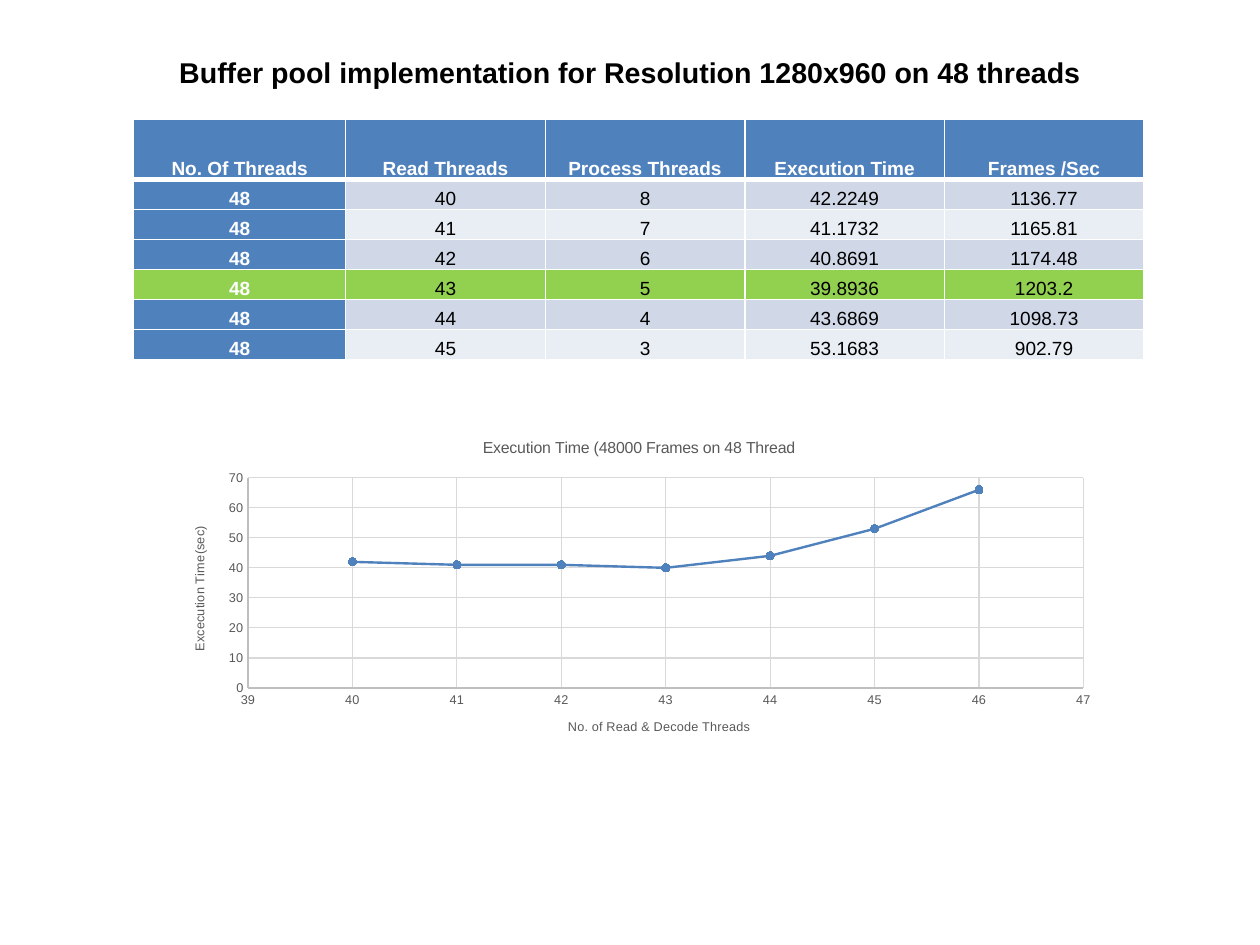
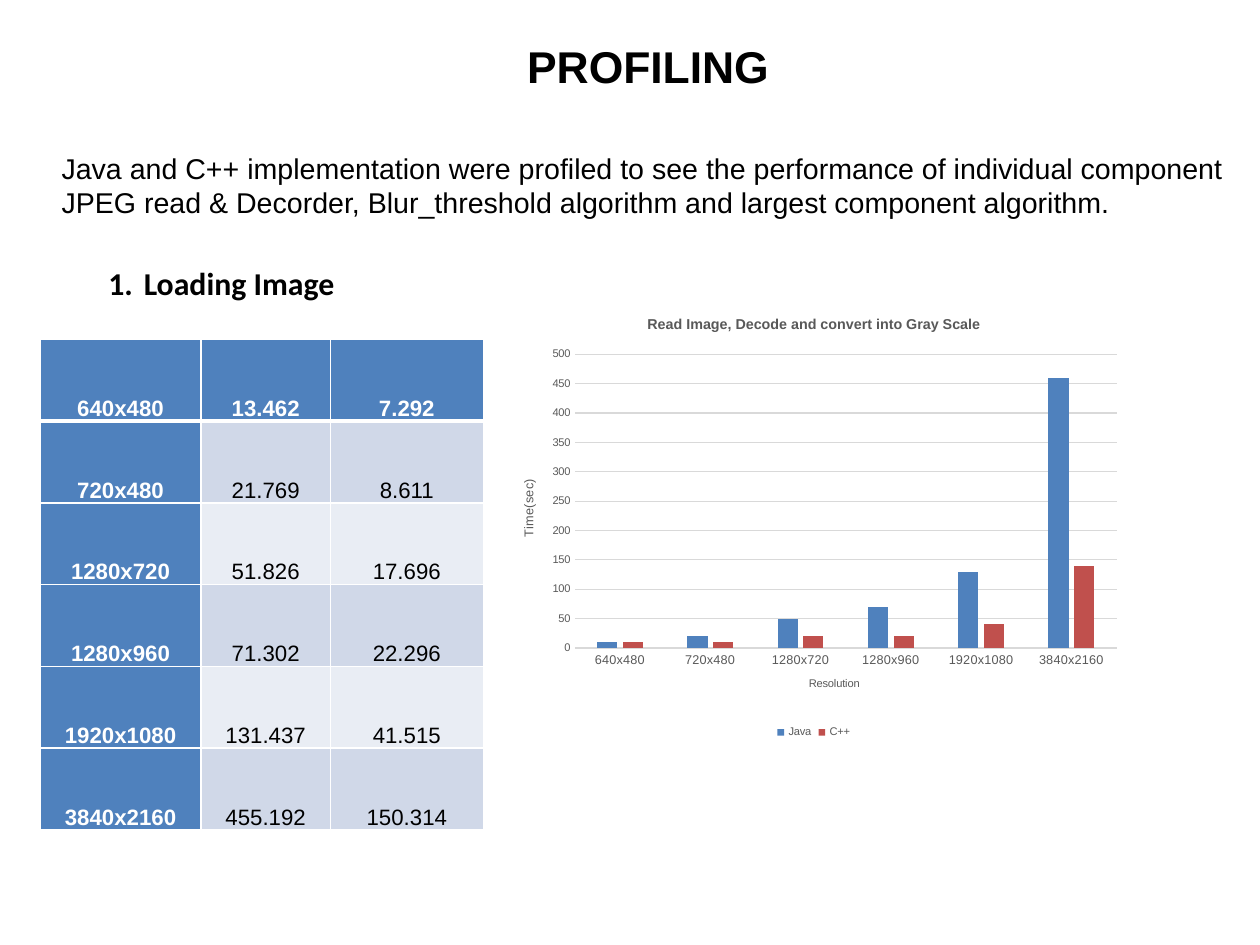
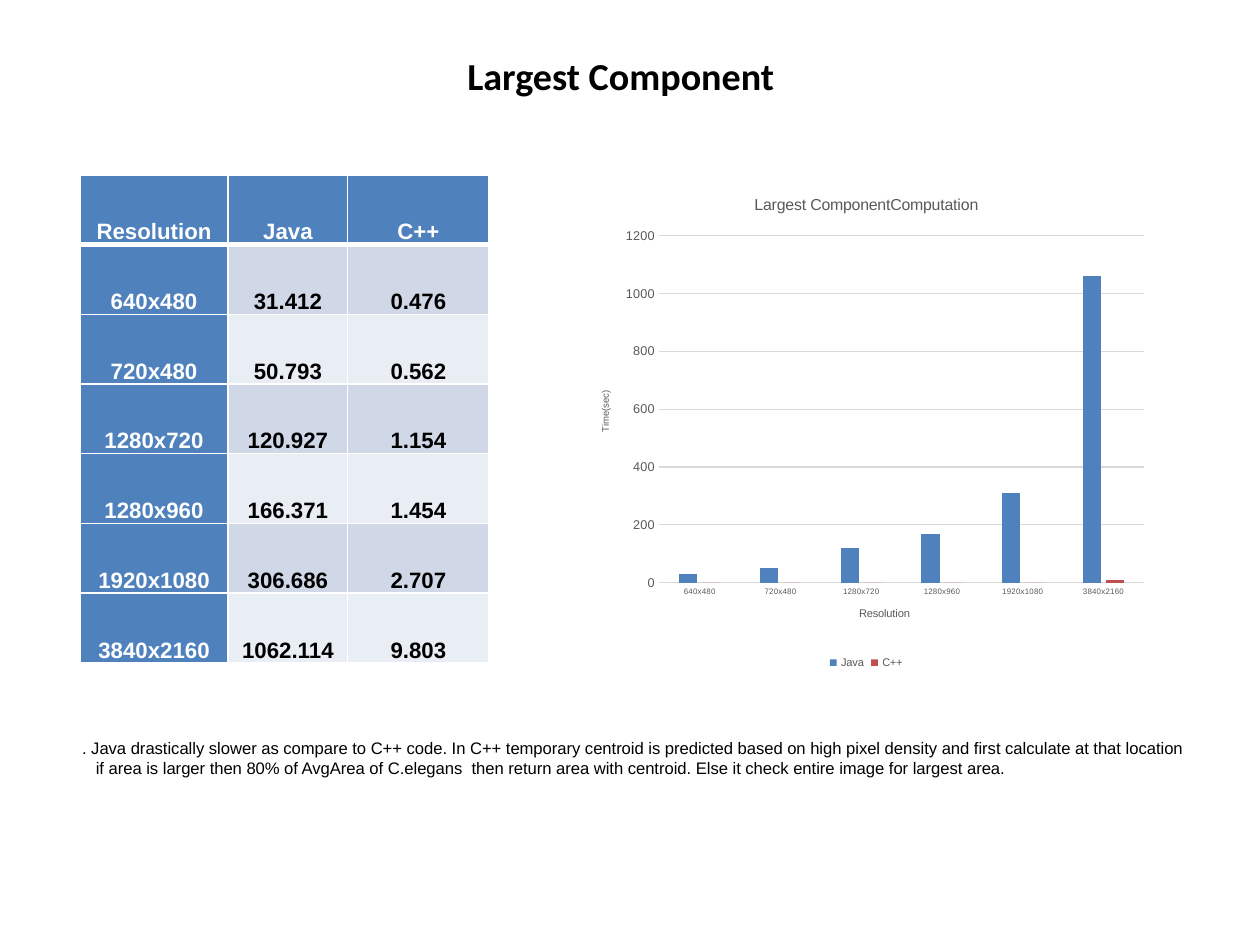
from lxml.etree import SubElement
from pptx import Presentation
from pptx.chart.data import CategoryChartData, XyChartData
from pptx.dml.color import RGBColor
from pptx.enum.chart import (XL_CHART_TYPE, XL_LEGEND_POSITION,
                             XL_MARKER_STYLE, XL_TICK_MARK)
from pptx.enum.text import MSO_ANCHOR, MSO_AUTO_SIZE, PP_ALIGN
from pptx.oxml.ns import qn
from pptx.util import Emu, Inches, Pt

# Shared style
SLIDE_WIDTH, SLIDE_HEIGHT = Emu(10080625), Emu(7559675)  # 28 by 21 cm screen
BLACK, WHITE, GRAY = "000000", "FFFFFF", "595959"
BLUE, RED, GREEN = "4F81BD", "C0504D", "92D050"
BANDS = ("D0D8E8", "E9EDF4")
GRID_LINE, AXIS_LINE = "D9D9D9", "BFBFBF"
BODY_FONT, HEADING_FONT = "Arial", "Calibri"
RESOLUTIONS = ["640x480", "720x480", "1280x720",
               "1280x960", "1920x1080", "3840x2160"]


def color(value):
    return RGBColor.from_string(value)


def style_font(font, size, tint=BLACK, bold=False, name=BODY_FONT):
    font.name = name
    font.size = Pt(size)
    font.bold = bold
    font.color.rgb = color(tint)


# Text
def add_text(slide, box, lines, size, bold=False, name=BODY_FONT,
             align=PP_ALIGN.LEFT, wrap=False, margins=(0,), hanging=0,
             numbered=False):
    """Write one paragraph per line; margins holds their left indents in turn."""
    frame = slide.shapes.add_textbox(*map(Inches, box)).text_frame
    frame.word_wrap = wrap
    frame.auto_size = MSO_AUTO_SIZE.SHAPE_TO_FIT_TEXT
    for index, line in enumerate(lines):
        paragraph = frame.paragraphs[0] if index == 0 else frame.add_paragraph()
        paragraph.text = line
        paragraph.alignment = align
        properties = paragraph._p.get_or_add_pPr()
        properties.set("marL", str(Inches(margins[index % len(margins)])))
        properties.set("indent", str(Inches(hanging)))
        if numbered:
            SubElement(properties, qn("a:buAutoNum"), type="arabicPeriod")
        style_font(paragraph.font, size, bold=bold, name=name)


# Tables
def set_borders(cell, top, bottom):
    properties = cell._tc.get_or_add_tcPr()
    for side, width in (("L", 1), ("R", 1), ("T", top), ("B", bottom)):
        line = SubElement(properties, qn(f"a:ln{side}"), w=str(Pt(width)))
        fill = SubElement(line, qn("a:solidFill"))
        SubElement(fill, qn("a:srgbClr"), val=WHITE)


def add_table(slide, box, widths, rows, size, header_height=None,
              bold_body=False, highlight=None):
    """Share the box width among the columns in proportion to widths."""
    left, top, width, height = box
    table = slide.shapes.add_table(len(rows), len(widths),
                                   *map(Inches, box)).table
    for column, share in zip(table.columns, widths):
        column.width = Inches(width * share / sum(widths))
    header_height = header_height or height / len(rows)
    row_height = (height - header_height) / (len(rows) - 1)

    for row_index, values in enumerate(rows):
        is_header = row_index == 0
        table.rows[row_index].height = Inches(
            header_height if is_header else row_height)
        for column_index, value in enumerate(values):
            is_heading = is_header or column_index == 0
            if row_index == highlight:
                background = GREEN
            else:
                background = BLUE if is_heading else BANDS[(row_index - 1) % 2]
            cell = table.cell(row_index, column_index)
            set_borders(cell, 3 if row_index == 1 else 1, 3 if is_header else 1)
            cell.fill.solid()
            cell.fill.fore_color.rgb = color(background)
            cell.vertical_anchor = MSO_ANCHOR.BOTTOM
            cell.margin_left = cell.margin_right = Inches(0.07)
            cell.margin_top = cell.margin_bottom = 0
            paragraph = cell.text_frame.paragraphs[0]
            paragraph.text = value
            paragraph.alignment = PP_ALIGN.CENTER
            paragraph.line_spacing = 1.07
            style_font(paragraph.font, size, WHITE if is_heading else BLACK,
                       is_heading or bold_body)


# Charts
def place(element, position, chart_box, order):
    """Fix a chart part at a slide position: left, top and maybe width, height."""
    layout = element.find(qn("c:layout"))
    if layout is None:
        layout = element.makeelement(qn("c:layout"), {})
        element.insert(order, layout)
    manual = SubElement(layout, qn("c:manualLayout"))
    left, top, width, height = chart_box
    fractions = {"x": (position[0] - left) / width,
                 "y": (position[1] - top) / height}
    if len(position) == 4:
        SubElement(manual, qn("c:layoutTarget"), val="inner")
        fractions.update(w=position[2] / width, h=position[3] / height)
    for key in ("x", "y"):
        SubElement(manual, qn(f"c:{key}Mode"), val="edge")
    for key, fraction in fractions.items():
        SubElement(manual, qn(f"c:{key}"), val=f"{fraction:.4f}")


def write_title(title, text, size, bold=False):
    title.text_frame.text = text
    style_font(title.text_frame.paragraphs[0].font, size, GRAY, bold)


def style_axis(axis, title, title_size, title_at, chart_box, label_size,
               line=None, grid=False, scale=None, vertical=False):
    write_title(axis.axis_title, title, title_size)
    place(axis.axis_title._element, title_at, chart_box, 1)
    if vertical:
        body = axis.axis_title.text_frame._txBody.find(qn("a:bodyPr"))
        body.set("rot", "-5400000")
        body.set("vert", "horz")
    style_font(axis.tick_labels.font, label_size, GRAY)
    axis.major_tick_mark = axis.minor_tick_mark = XL_TICK_MARK.NONE
    if line:
        axis.format.line.color.rgb = color(line)
        axis.format.line.width = Pt(0.75)
    else:
        axis.format.line.fill.background()
    axis.has_major_gridlines = grid
    if grid:
        axis.major_gridlines.format.line.color.rgb = color(GRID_LINE)
        axis.major_gridlines.format.line.width = Pt(0.75)
    if scale:
        axis.minimum_scale, axis.maximum_scale, axis.major_unit = scale
        axis.tick_labels.number_format = "0"
        axis.tick_labels.number_format_is_linked = False


def add_chart(slide, kind, data, box, plot_box, title, title_size, bold=False):
    chart = slide.shapes.add_chart(kind, *map(Inches, box), data).chart
    style_font(chart.font, 10)
    chart.has_title = True
    write_title(chart.chart_title, title, title_size, bold)
    chart.has_legend = False
    chart.plots[0].vary_by_categories = False
    place(chart._chartSpace.chart.plotArea, plot_box, box, 0)
    return chart


def add_scatter_chart(slide, box, plot_box, title, points, x_axis, y_axis):
    data = XyChartData()
    series_data = data.add_series("Series 1")
    for x, y in points:
        series_data.add_data_point(x, y)
    chart = add_chart(slide, XL_CHART_TYPE.XY_SCATTER_LINES, data, box,
                      plot_box, title, 10)
    for axis, settings in ((chart.category_axis, x_axis),
                           (chart.value_axis, y_axis)):
        style_axis(axis, chart_box=box, title_size=8, label_size=8,
                   line=AXIS_LINE, grid=True, **settings)
    series = chart.plots[0].series[0]
    series.format.line.color.rgb = color(BLUE)
    series.format.line.width = Pt(1.5)
    series.marker.style = XL_MARKER_STYLE.CIRCLE
    series.marker.size = 5
    series.marker.format.fill.solid()
    series.marker.format.fill.fore_color.rgb = color(BLUE)
    series.marker.format.line.color.rgb = color(BLUE)


def add_column_chart(slide, box, plot_box, title, title_size, bold, java, cpp,
                     x_axis, y_axis):
    data = CategoryChartData()
    data.categories = RESOLUTIONS
    data.add_series("Java", java)
    data.add_series("C++", cpp)
    chart = add_chart(slide, XL_CHART_TYPE.COLUMN_CLUSTERED, data, box,
                      plot_box, title, title_size, bold)
    style_axis(chart.category_axis, "Resolution", 7, chart_box=box,
               line=GRID_LINE, **x_axis)
    style_axis(chart.value_axis, "Time(sec)", chart_box=box, grid=True,
               vertical=True, **y_axis)
    chart.has_legend = True
    chart.legend.position = XL_LEGEND_POSITION.BOTTOM
    chart.legend.include_in_layout = False
    style_font(chart.legend.font, 7, GRAY)
    plot = chart.plots[0]
    plot.gap_width = 219
    plot.overlap = -27
    for series, tint in zip(plot.series, (BLUE, RED)):
        series.format.fill.solid()
        series.format.fill.fore_color.rgb = color(tint)


# Slides
def build_buffer_pool(slide):
    add_text(slide, (1.47, 0.43, 8.24, 0.4),
             ["Buffer pool implementation for Resolution 1280x960 on 48 threads"],
             18, bold=True)
    results = [("42.2249", "1136.77"), ("41.1732", "1165.81"),
               ("40.8691", "1174.48"), ("39.8936", "1203.2"),
               ("43.6869", "1098.73"), ("53.1683", "902.79")]
    rows = [("No. Of Threads", "Read Threads", "Process Threads",
             "Execution Time", "Frames /Sec")]
    rows += [("48", str(readers), str(48 - readers), *result)
             for readers, result in enumerate(results, start=40)]
    add_table(slide, (1.17, 1.04, 8.84, 2.11), [1.86] + [1.75] * 4, rows, 12,
              header_height=0.53, highlight=4)
    add_scatter_chart(
        slide, (1.47, 3.69, 8.24, 2.95), (2.17, 4.18, 7.31, 1.84),
        "Execution Time (48000 Frames on 48 Thread",
        enumerate([42, 41, 41, 40, 44, 53, 66], start=40),
        dict(title="No. of Read & Decode Threads", title_at=(4.95, 6.26),
             scale=(39, 47, 1)),
        dict(title="Excecution Time(sec)", title_at=(1.65, 4.58),
             scale=(0, 70, 10), vertical=True))


def build_profiling(slide):
    add_text(slide, (4.49, 0.29, 2.36, 0.88), ["PROFILING"], 28, bold=True,
             align=PP_ALIGN.CENTER, wrap=True)
    add_text(slide, (0.44, 1.27, 10.52, 0.71),
             ["Java and C++ implementation were profiled to see the "
              "performance of individual component",
              "JPEG read & Decorder, Blur_threshold algorithm and largest "
              "component algorithm."], 18)
    add_text(slide, (0.35, 2.26, 3.43, 0.44), ["Loading Image"], 20, bold=True,
             name=HEADING_FONT, wrap=True, margins=(0.81,), hanging=-0.31,
             numbered=True)
    java = ["13.462", "21.769", "51.826", "71.302", "131.437", "455.192"]
    cpp = ["7.292", "8.611", "17.696", "22.296", "41.515", "150.314"]
    add_table(slide, (0.35, 2.97, 3.88, 4.29), [1.41, 1.13, 1.34],
              list(zip(RESOLUTIONS, java, cpp)), 14)
    add_column_chart(
        slide, (4.35, 2.6, 5.54, 3.9), (5.03, 3.1, 4.74, 2.57),
        "Read Image, Decode and convert into Gray Scale", 9, True,
        [10, 20, 50, 70, 130, 460], [10, 10, 20, 20, 40, 140],
        dict(title_at=(7.06, 5.9), label_size=8),
        dict(title_size=8, title_at=(4.53, 4.17), label_size=7,
             scale=(0, 500, 50)))


def build_largest_component(slide):
    add_text(slide, (3.49, 0.41, 3.42, 0.5), ["Largest Component"], 24,
             bold=True, name=HEADING_FONT, margins=(0.5,))
    java = ["31.412", "50.793", "120.927", "166.371", "306.686", "1062.114"]
    cpp = ["0.476", "0.562", "1.154", "1.454", "2.707", "9.803"]
    add_table(slide, (0.7, 1.53, 3.58, 4.27), [1.3, 1.05, 1.24],
              [("Resolution", "Java", "C++"), *zip(RESOLUTIONS, java, cpp)],
              14, bold_body=True)
    add_column_chart(
        slide, (5.05, 1.53, 5.06, 4.36), (5.77, 2.06, 4.24, 3.04),
        "Largest ComponentComputation", 10, False,
        [30, 50, 120, 170, 310, 1060], [0, 0, 0, 0, 0, 10],
        dict(title_at=(7.5, 5.29), label_size=5),
        dict(title_size=6, title_at=(5.23, 3.4), label_size=8,
             scale=(0, 1200, 200)))
    add_text(slide, (0.62, 6.41, 10.06, 0.63),
             [". Java drastically slower as compare to C++ code. In C++ "
              "temporary centroid is predicted based on high pixel density "
              "and first calculate at that location",
              "if area is larger then 80% of AvgArea of C.elegans  then return "
              "area with centroid. Else it check entire image for largest "
              "area."], 10.5, margins=(0, 0.12))


def main():
    presentation = Presentation()
    presentation.slide_width = SLIDE_WIDTH
    presentation.slide_height = SLIDE_HEIGHT
    for build in (build_buffer_pool, build_profiling, build_largest_component):
        build(presentation.slides.add_slide(presentation.slide_layouts[6]))
    presentation.save("out.pptx")


if __name__ == "__main__":
    main()
